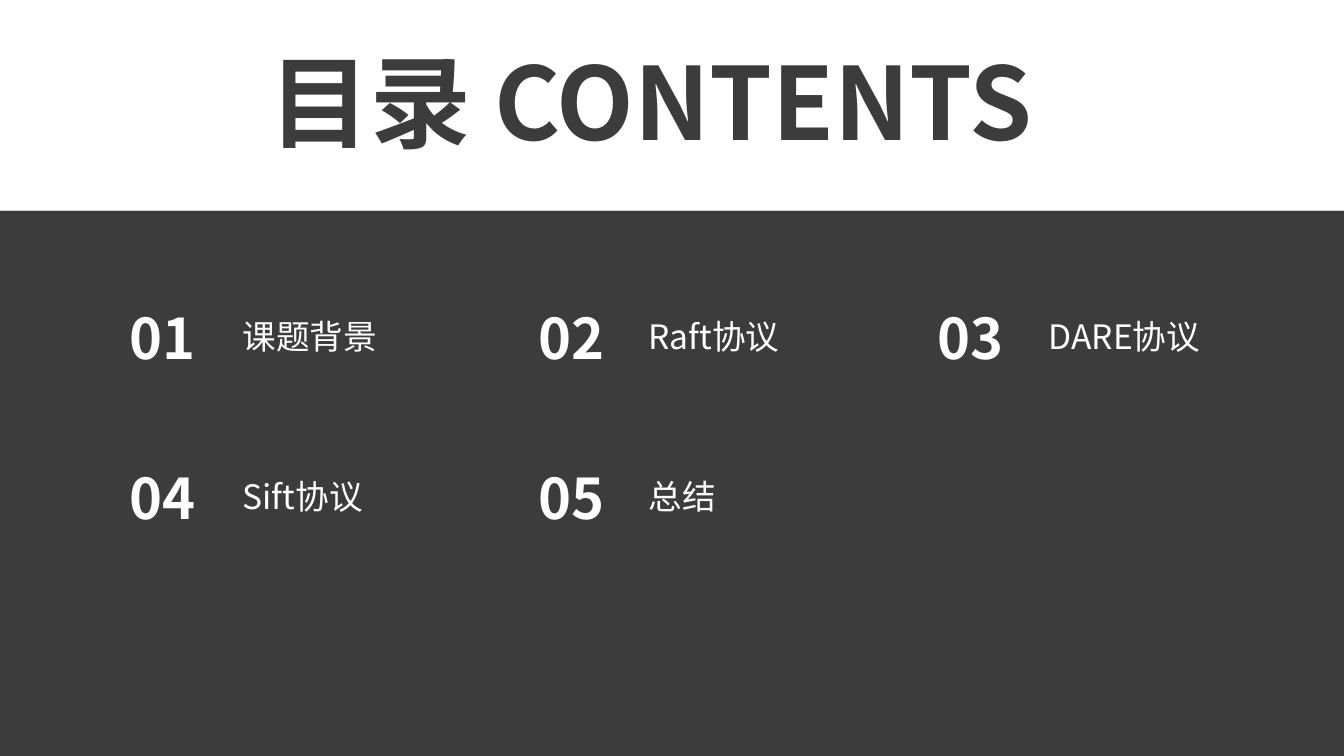
from dataclasses import dataclass

from pptx import Presentation
from pptx import util as u
from pptx.dml.color import RGBColor
from pptx.enum import shapes, text


@dataclass(frozen=True)
class Theme:
    font: str = "Noto Sans CJK SC"
    dark: RGBColor = RGBColor(0x3C, 0x3C, 0x3C)
    light: RGBColor = RGBColor(0xFF, 0xFF, 0xFF)
    title_size: int = 72
    number_size: int = 40
    topic_size: int = 24


@dataclass(frozen=True)
class Frame:
    """A rectangle on the slide, in points."""
    left: float
    top: float
    width: float
    height: float

    def lengths(self) -> tuple[u.Length, ...]:
        return tuple(u.Pt(n) for n in (self.left, self.top, self.width, self.height))


@dataclass(frozen=True)
class Style:
    size: int
    color: RGBColor
    bold: bool = False
    align: text.PP_ALIGN = text.PP_ALIGN.LEFT


THEME = Theme()
TITLE = Style(THEME.title_size, THEME.dark, True, text.PP_ALIGN.CENTER)
NUMBER = Style(THEME.number_size, THEME.light, True)
TOPIC = Style(THEME.topic_size, THEME.light)

PAGE_WIDTH, PAGE_HEIGHT = 960, 540
HEADER_HEIGHT = 150.4

TOPICS = ("课题背景", "Raft协议", "DARE协议", "Sift协议", "总结")
NUMBER_LEFTS = (85.7, 377.3, 662.8)
TOPIC_LEFTS = (166.3, 456.2, 742)
FIRST_ROW_TOP, ROW_STEP = 218.9, 114
NUMBER_DROP = 2
NUMBER_WIDTH, TOPIC_WIDTH, ROW_HEIGHT = 66, 147, 46


def add_panel(page, frame: Frame, color: RGBColor) -> None:
    panel = page.shapes.add_shape(shapes.MSO_SHAPE.RECTANGLE, *frame.lengths())
    panel.shadow.inherit = False
    panel.fill.solid()
    panel.fill.fore_color.rgb = color
    panel.line.fill.background()


def add_text(page, frame: Frame, words: str, style: Style) -> None:
    box = page.shapes.add_textbox(*frame.lengths())
    box.text_frame.word_wrap = True
    box.text_frame.vertical_anchor = text.MSO_ANCHOR.MIDDLE
    para = box.text_frame.paragraphs[0]
    para.text = words
    para.alignment = style.align
    para.line_spacing = 0.9
    para.font.name = THEME.font
    para.font.size = u.Pt(style.size)
    para.font.bold = style.bold
    para.font.color.rgb = style.color


def add_topics(page) -> None:
    for index, topic in enumerate(TOPICS):
        row, column = divmod(index, len(NUMBER_LEFTS))
        top = FIRST_ROW_TOP + row * ROW_STEP
        number_frame = Frame(NUMBER_LEFTS[column], top + NUMBER_DROP, NUMBER_WIDTH, ROW_HEIGHT)
        topic_frame = Frame(TOPIC_LEFTS[column], top, TOPIC_WIDTH, ROW_HEIGHT)
        add_text(page, number_frame, f"{index + 1:02}", NUMBER)
        add_text(page, topic_frame, topic, TOPIC)


def main() -> None:
    deck = Presentation()
    deck.slide_width, deck.slide_height = u.Pt(PAGE_WIDTH), u.Pt(PAGE_HEIGHT)
    page = deck.slides.add_slide(deck.slide_layouts[6])
    header = Frame(0, 0, PAGE_WIDTH, HEADER_HEIGHT)
    body = Frame(0, HEADER_HEIGHT, PAGE_WIDTH, PAGE_HEIGHT - HEADER_HEIGHT)
    add_panel(page, body, THEME.dark)
    add_panel(page, header, THEME.light)
    add_text(page, Frame(166.3, 36, 597.6, 81.4), "目录 CONTENTS", TITLE)
    add_topics(page)
    deck.save("out.pptx")


if __name__ == "__main__":
    main()
